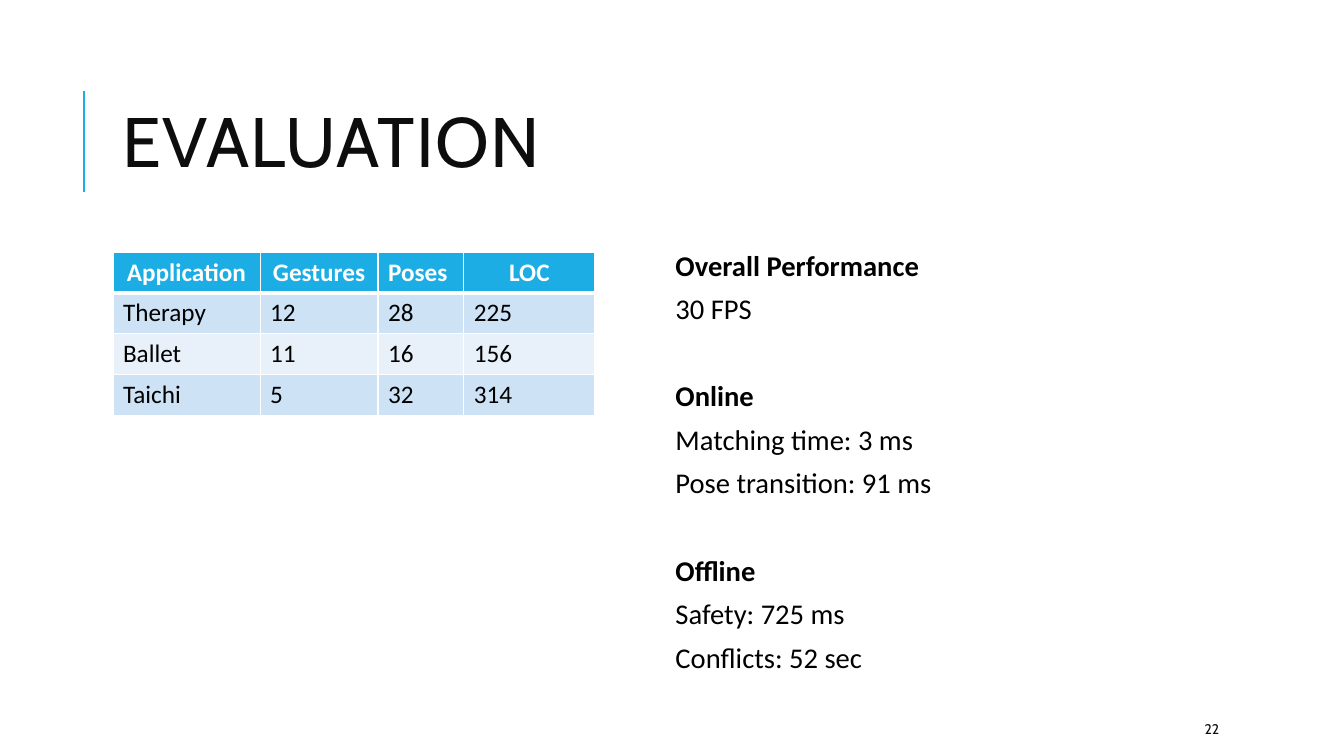
from dataclasses import dataclass

from lxml.etree import SubElement
from pptx import Presentation
from pptx.dml.color import RGBColor
from pptx.enum.shapes import MSO_CONNECTOR
from pptx.enum.text import MSO_ANCHOR, PP_ALIGN
from pptx.oxml.ns import qn
from pptx.util import Inches, Pt

TITLE = "EVALUATION"
PAGE_NUMBER = "22"
APPLICATIONS = [
    ("Application", "Gestures", "Poses", "LOC"),
    ("Therapy", "12", "28", "225"),
    ("Ballet", "11", "16", "156"),
    ("Taichi", "5", "32", "314"),
]
COLUMN_WIDTHS = (1.46, 1.17, 0.85, 1.3)
CENTERED_HEADERS = ("Application", "Gestures", "LOC")
ROW_HEIGHT = 0.405
RESULTS = [
    ("Overall Performance", ["30 FPS"]),
    ("Online", ["Matching time: 3 ms", "Pose transition: 91 ms"]),
    ("Offline", ["Safety: 725 ms", "Conflicts: 52 sec"]),
]


@dataclass(frozen=True)
class Theme:
    accent: str = "1CADE4"
    ink: str = "0D0D0D"
    body: str = "000000"
    white: str = "FFFFFF"
    bands: tuple = ("CDE3F5", "E8F1FA")
    heading_font: str = "Cabin"
    body_font: str = "Calibri"
    title_size: float = 50
    results_size: float = 20.4
    table_size: float = 18
    number_size: float = 10


THEME = Theme()


def style(paragraph, name, size, color, bold=False):
    font = paragraph.font
    font.name, font.size, font.bold = name, Pt(size), bold
    font.color.rgb = RGBColor.from_string(color)


def add_text_frame(slide, left, top, width, height, anchor):
    box = slide.shapes.add_textbox(*map(Inches, (left, top, width, height)))
    frame = box.text_frame
    frame.word_wrap = True
    frame.vertical_anchor = anchor
    return frame


def add_title(slide):
    rule = slide.shapes.add_connector(
        MSO_CONNECTOR.STRAIGHT, Inches(0.83), Inches(1.9), Inches(0.83), Inches(0.9))
    rule.line.color.rgb = RGBColor.from_string(THEME.accent)
    rule.line.width = Pt(1.5)
    SubElement(rule._element.spPr, qn("a:effectLst"))

    title = add_text_frame(slide, 1.12, 0.64, 10.63, 1.64, MSO_ANCHOR.MIDDLE).paragraphs[0]
    run = title.add_run()
    run.text = TITLE
    run._r.get_or_add_rPr().set("spc", "100")
    title.line_spacing = 0.8
    style(title, THEME.heading_font, THEME.title_size, THEME.ink)


def set_borders(cell, bottom_width):
    widths = {"a:lnL": 1, "a:lnR": 1, "a:lnT": 1, "a:lnB": bottom_width}
    for side, width in widths.items():
        border = SubElement(cell._tc.get_or_add_tcPr(), qn(side), w=str(Pt(width)))
        fill = SubElement(border, qn("a:solidFill"))
        SubElement(fill, qn("a:srgbClr"), val=THEME.white)


def add_applications(slide):
    table = slide.shapes.add_table(
        len(APPLICATIONS), len(COLUMN_WIDTHS), Inches(1.12), Inches(2.5),
        Inches(sum(COLUMN_WIDTHS)), Inches(ROW_HEIGHT * len(APPLICATIONS))).table
    for column, width in zip(table.columns, COLUMN_WIDTHS):
        column.width = Inches(width)
    for row, values in enumerate(APPLICATIONS):
        header = row == 0
        fill = THEME.accent if header else THEME.bands[(row - 1) % 2]
        for column, value in enumerate(values):
            cell = table.cell(row, column)
            cell.text = value
            set_borders(cell, 3 if header else 1)
            cell.fill.solid()
            cell.fill.fore_color.rgb = RGBColor.from_string(fill)
            entry = cell.text_frame.paragraphs[0]
            if value in CENTERED_HEADERS:
                entry.alignment = PP_ALIGN.CENTER
            style(entry, THEME.body_font, THEME.table_size,
                  THEME.white if header else THEME.body, header)


def add_results(slide):
    frame = add_text_frame(slide, 6.55, 2.5, 5.2, 4.4, MSO_ANCHOR.TOP)
    frame.margin_left = Inches(0.15)
    frame.margin_top = frame.margin_right = frame.margin_bottom = Inches(0.05)
    for group, (heading, measures) in enumerate(RESULTS):
        for position, words in enumerate([heading, *measures]):
            is_heading = position == 0
            first = group == 0 and is_heading
            line = frame.paragraphs[0] if first else frame.add_paragraph()
            line.text = words
            line.line_spacing = 0.7
            if not first:
                line.space_before = Pt(43 if is_heading else 12)
            line.space_after = Pt(2)
            style(line, THEME.body_font, THEME.results_size, THEME.body, is_heading)


def add_page_number(slide):
    number = add_text_frame(slide, 11.85, 7.08, 1.06, 0.3, MSO_ANCHOR.MIDDLE).paragraphs[0]
    number.text = PAGE_NUMBER
    style(number, THEME.heading_font, THEME.number_size, THEME.ink)


def main():
    deck = Presentation()
    deck.slide_width, deck.slide_height = Inches(13.33), Inches(7.5)
    slide = deck.slides.add_slide(deck.slide_layouts[6])
    add_title(slide)
    add_results(slide)
    add_applications(slide)
    add_page_number(slide)
    deck.save("out.pptx")


if __name__ == "__main__":
    main()
